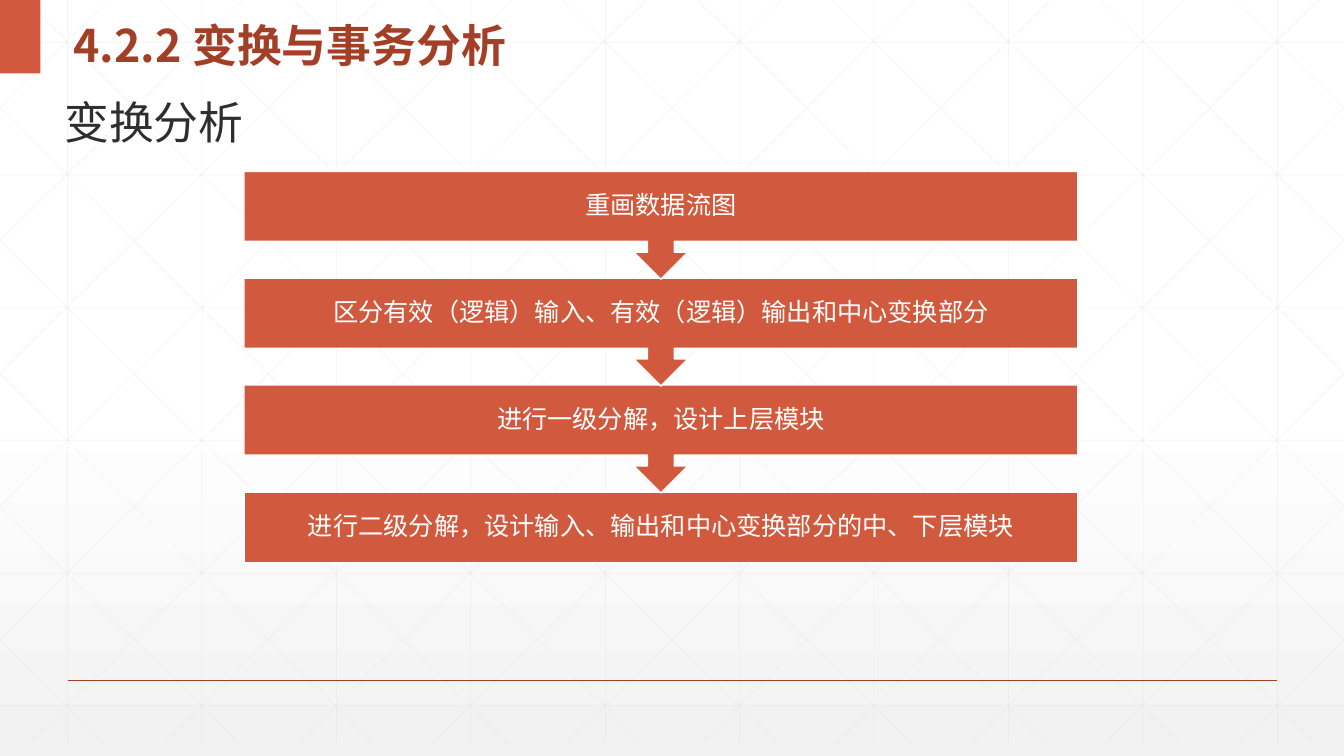
from lxml.etree import SubElement
from pptx import Presentation
from pptx.dml.color import RGBColor
from pptx.enum.shapes import MSO_CONNECTOR, MSO_SHAPE
from pptx.enum.text import MSO_ANCHOR, PP_ALIGN
from pptx.oxml.ns import qn
from pptx.util import Inches, Pt

WIDTH, HEIGHT = 13.33, 7.5
ORANGE, RUST, WHITE, INK, GRID = "D15A3E", "A43F27", "FFFFFF", "2D2E2D", "D9D9D9"
CJK_FONT = "Noto Sans CJK SC"

deck = Presentation()
deck.slide_width, deck.slide_height = Inches(WIDTH), Inches(HEIGHT)
page = deck.slides.add_slide(deck.slide_layouts[6])


def add_line(x1, y1, x2, y2, color, width, alpha=None):
    line = page.shapes.add_connector(
        MSO_CONNECTOR.STRAIGHT, Inches(x1), Inches(y1), Inches(x2), Inches(y2))
    line.line.color.rgb = RGBColor.from_string(color)
    line.line.width = Pt(width)
    if alpha:
        tone = line.line._ln.find(".//" + qn("a:srgbClr"))
        SubElement(tone, qn("a:alpha")).set("val", str(alpha * 1000))
    SubElement(line._element.spPr, qn("a:effectLst"))


def write(box, text, size, color, font="Arial"):
    para = box.text_frame.paragraphs[0]
    para.text = text
    para.font.size = Pt(size)
    para.font.name = font
    para.font.color.rgb = RGBColor.from_string(color)
    defaults = para._p.find(".//" + qn("a:defRPr"))
    SubElement(defaults, qn("a:ea")).set("typeface", CJK_FONT)
    return para


# Background gradient, white to light grey
page.background.fill.gradient()
page.background.fill.gradient_angle = 270
stops = page.element.find(".//" + qn("a:gsLst"))
for old_stop in list(stops):
    stops.remove(old_stop)
for position, color, alpha in [(0, WHITE, 100), (53, WHITE, 100), (100, "F2F2F2", 65)]:
    stop = SubElement(stops, qn("a:gs"))
    stop.set("pos", str(position * 1000))
    tone = SubElement(stop, qn("a:srgbClr"))
    tone.set("val", color)
    SubElement(tone, qn("a:alpha")).set("val", str(alpha * 1000))

# Background grid: verticals, horizontals, then mirrored diagonals cut at the edges
PITCH, GRID_BOTTOM, RUN = 4 / 3, 7.37, 7.45
for column in range(10):
    x = 0.67 + PITCH * column
    add_line(x, 0, x, GRID_BOTTOM, GRID, 0.5, 25)
for row in range(6):
    y = 0.42 + 1.316 * row
    add_line(0, y, WIDTH, y, GRID, 0.5, 25)
slope = GRID_BOTTOM / RUN
for step in range(-5, 10):
    start = 0.25 + PITCH * step
    left, right = max(start, 0), min(start + RUN, WIDTH)
    top, bottom = (left - start) * slope, (right - start) * slope
    add_line(left, top, right, bottom, GRID, 0.5, 25)
    add_line(WIDTH - left, top, WIDTH - right, bottom, GRID, 0.5, 25)

# Footer rule and corner block
add_line(0.67, 6.75, 12.67, 6.75, RUST, 1)
corner = page.shapes.add_shape(MSO_SHAPE.RECTANGLE, 0, 0, Inches(0.4), Inches(0.73))
corner.shadow.inherit = False
corner.fill.solid()
corner.fill.fore_color.rgb = RGBColor.from_string(ORANGE)
corner.line.fill.background()

# Title and subtitle
title = page.shapes.add_textbox(Inches(0.63), 0, Inches(5.69), Inches(0.73))
title.text_frame.word_wrap = True
title.text_frame.vertical_anchor = MSO_ANCHOR.MIDDLE
para = write(title, "4.2.2 变换与事务分析", 32, RUST, CJK_FONT)
para.font.bold = True
para.line_spacing = 1.3

subtitle = page.shapes.add_textbox(Inches(0.54), Inches(0.89), Inches(2), Inches(0.64))
subtitle.text_frame.word_wrap = False
write(subtitle, "变换分析", 32, INK)

# Steps, stacked from the last one up so that each arrow lies over the next box
steps = [
    "重画数据流图",
    "区分有效（逻辑）输入、有效（逻辑）输出和中心变换部分",
    "进行一级分解，设计上层模块",
    "进行二级分解，设计输入、输出和中心变换部分的中、下层模块",
]
last = len(steps) - 1
for index in range(last, -1, -1):
    if index == last:
        kind, height = MSO_SHAPE.RECTANGLE, 0.7
    else:
        kind, height = MSO_SHAPE.DOWN_ARROW_CALLOUT, 1.07
    box = page.shapes.add_shape(
        kind, Inches(2.42), Inches(1.7 + 1.06 * index), Inches(8.27), Inches(height))
    box.shadow.inherit = False
    box.fill.solid()
    box.fill.fore_color.rgb = RGBColor.from_string(ORANGE)
    box.line.color.rgb = RGBColor.from_string(WHITE)
    box.line.width = Pt(1)
    frame = box.text_frame
    frame.word_wrap = True
    frame.vertical_anchor = MSO_ANCHOR.MIDDLE
    frame.margin_left = frame.margin_right = Inches(0.14)
    frame.margin_top = frame.margin_bottom = Inches(0.14)
    para = write(box, steps[index], 18, WHITE)
    para.alignment = PP_ALIGN.CENTER
    para.line_spacing = 0.9

deck.save("out.pptx")
